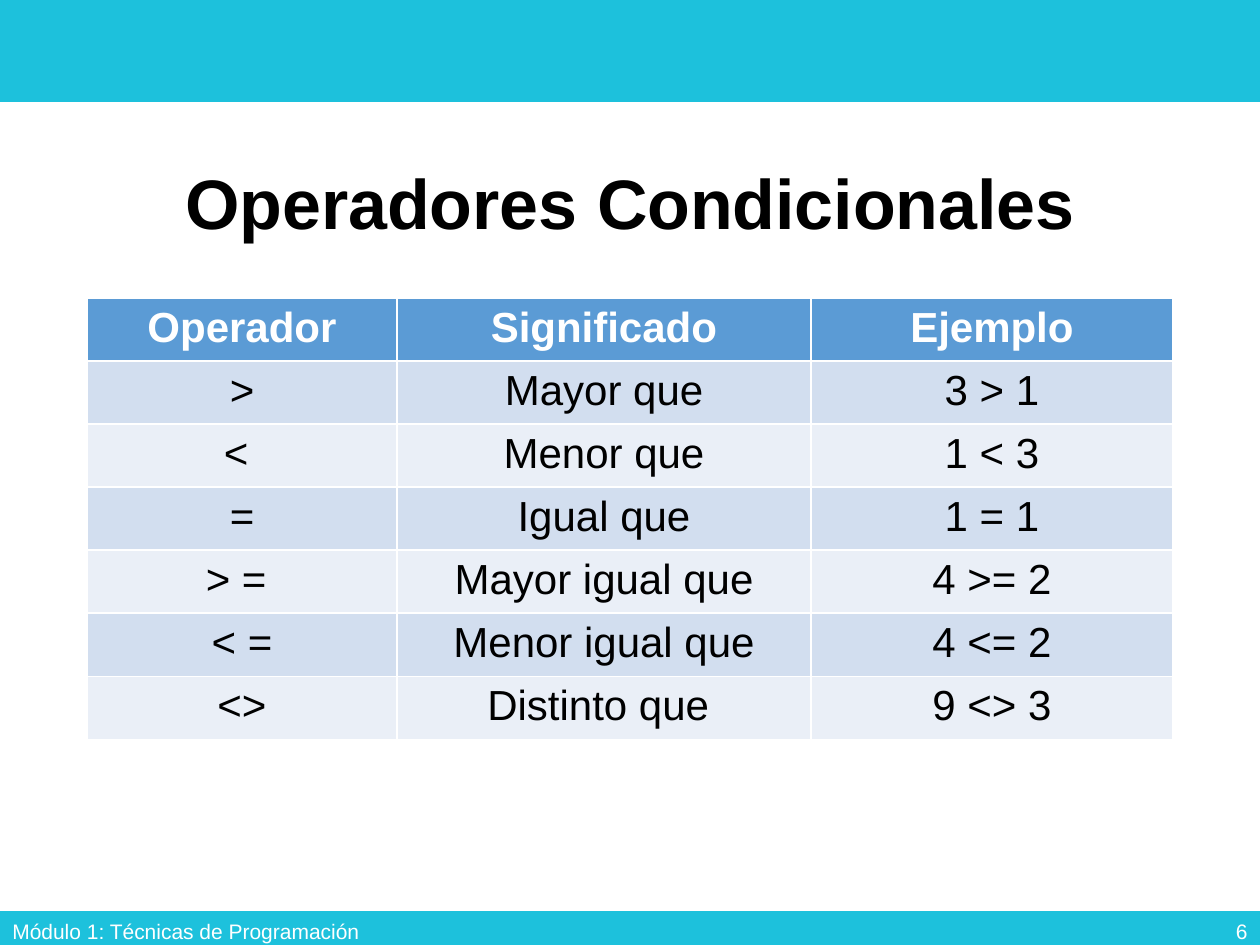
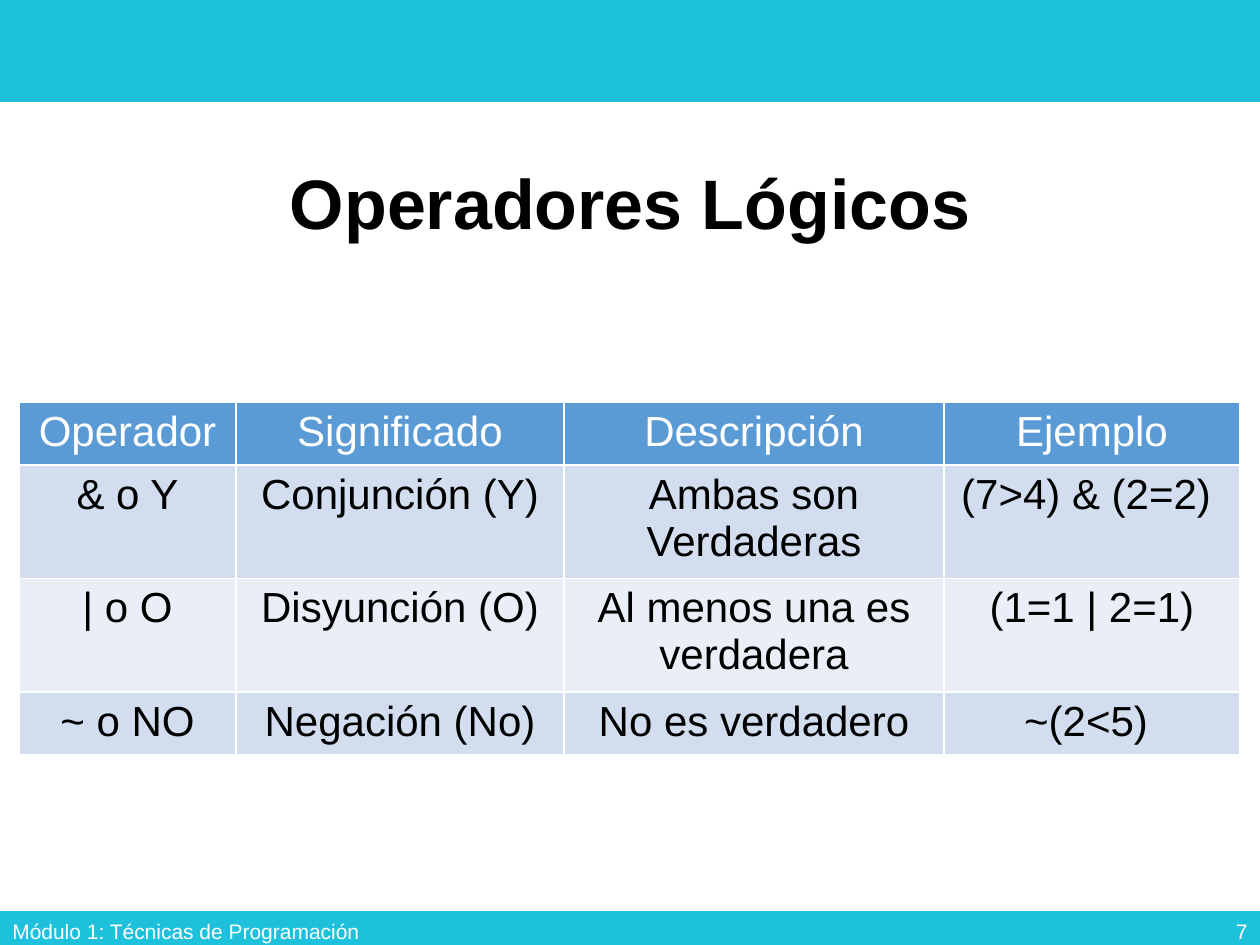
from pptx import Presentation
from pptx import util as u
from pptx.dml import color
from pptx.enum import shapes, text

WIDTH, HEIGHT = 1260, 945
FOOTER = "Módulo 1: Técnicas de Programación"

CONDITIONALS = [
    ("Operador", "Significado", "Ejemplo"),
    (">", "Mayor que", "3 > 1"),
    ("< ", "Menor que", "1 < 3"),
    ("=", "Igual que", "1 = 1"),
    ("> = ", "Mayor igual que", "4 >= 2"),
    ("< =", "Menor igual que", "4 <= 2"),
    ("<>", "Distinto que ", "9 <> 3"),
]
LOGICALS = [
    ("Operador", "Significado", "Descripción", "Ejemplo"),
    ("& o Y", "Conjunción (Y)", "Ambas son Verdaderas", "(7>4) & (2=2) "),
    ("| o O", "Disyunción (O)", "Al menos una es verdadera", "(1=1 | 2=1)"),
    ("~ o NO", "Negación (No)", "No es verdadero", "~(2<5) "),
]


def px(length):
    return u.Emu(round(length * 914400 / 126))


def rgb(value):
    return color.RGBColor.from_string(value)


def paint(target, value):
    target.fill.solid()
    target.fill.fore_color.rgb = rgb(value)


def write(frame, words, size=24, ink="000000", bold=False, align="CENTER", spacing=None):
    paragraph = frame.paragraphs[0]
    paragraph.alignment = getattr(text.PP_ALIGN, align)
    if spacing:
        paragraph.line_spacing = spacing
    run = paragraph.add_run()
    run.text = words
    run.font.name = "Arial"
    run.font.size = u.Pt(size)
    run.font.bold = bold
    run.font.color.rgb = rgb(ink)


class Deck:
    band_color = "1DC1DC"
    header_color = "5B9BD5"
    stripes = ("D2DEEF", "EAEFF7")
    light = "FFFFFF"
    row_height = 52

    def __init__(self):
        self.prs = Presentation()
        self.prs.slide_width, self.prs.slide_height = px(WIDTH), px(HEIGHT)
        self.slide = None

    def start(self, heading, number):
        self.slide = self.prs.slides.add_slide(self.prs.slide_layouts[5])
        self.band(0, 102)
        self.band(911, HEIGHT - 911)
        self.title(heading)
        self.footer(FOOTER, 0, 426, "LEFT")
        self.footer(str(number), WIDTH - 284, 284, "RIGHT")

    def band(self, top, height):
        band = self.slide.shapes.add_shape(
            shapes.MSO_SHAPE.RECTANGLE, 0, px(top), px(WIDTH), px(height))
        band.shadow.inherit = False
        band.line.fill.background()
        paint(band, self.band_color)

    def title(self, heading):
        title = self.slide.shapes.title
        title.left, title.top = px(87), px(123)
        title.width, title.height = px(WIDTH - 2 * 87), px(168)
        title.text_frame.vertical_anchor = text.MSO_ANCHOR.MIDDLE
        write(title.text_frame, heading, size=40, bold=True, spacing=0.9)

    def footer(self, words, left, width, align):
        frame = self.slide.shapes.add_textbox(
            px(left), px(906), px(width), px(50)).text_frame
        frame.word_wrap = True
        frame.vertical_anchor = text.MSO_ANCHOR.MIDDLE
        write(frame, words, size=12, ink=self.light, align=align)

    def table(self, rows, left, top, widths, header_bold):
        table = self.slide.shapes.add_table(
            len(rows), len(widths), px(left), px(top),
            px(sum(widths)), px(self.row_height * len(rows))).table
        for column, width in zip(table.columns, widths):
            column.width = px(width)
        for r, row in enumerate(rows):
            header = r == 0
            fill = self.header_color if header else self.stripes[(r - 1) % 2]
            for c, words in enumerate(row):
                cell = table.cell(r, c)
                paint(cell, fill)
                write(cell.text_frame, words,
                      ink=self.light if header else "000000",
                      bold=header and header_bold)


def main():
    deck = Deck()
    deck.start("Operadores Condicionales", 6)
    deck.table(CONDITIONALS, 87, 298, (310, 414, 362), header_bold=True)
    deck.start("Operadores Lógicos", 7)
    deck.table(LOGICALS, 19, 402, (217, 328, 380, 296), header_bold=False)
    deck.prs.save("out.pptx")


if __name__ == "__main__":
    main()
